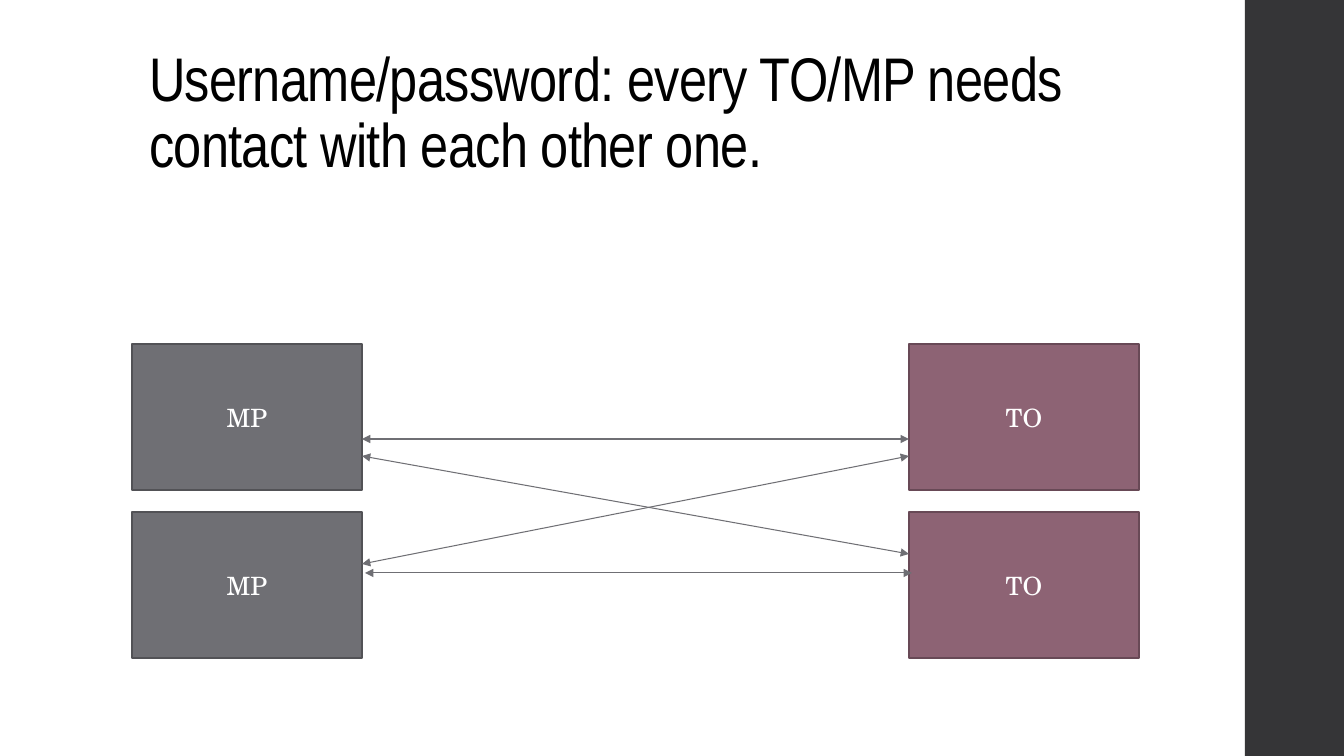
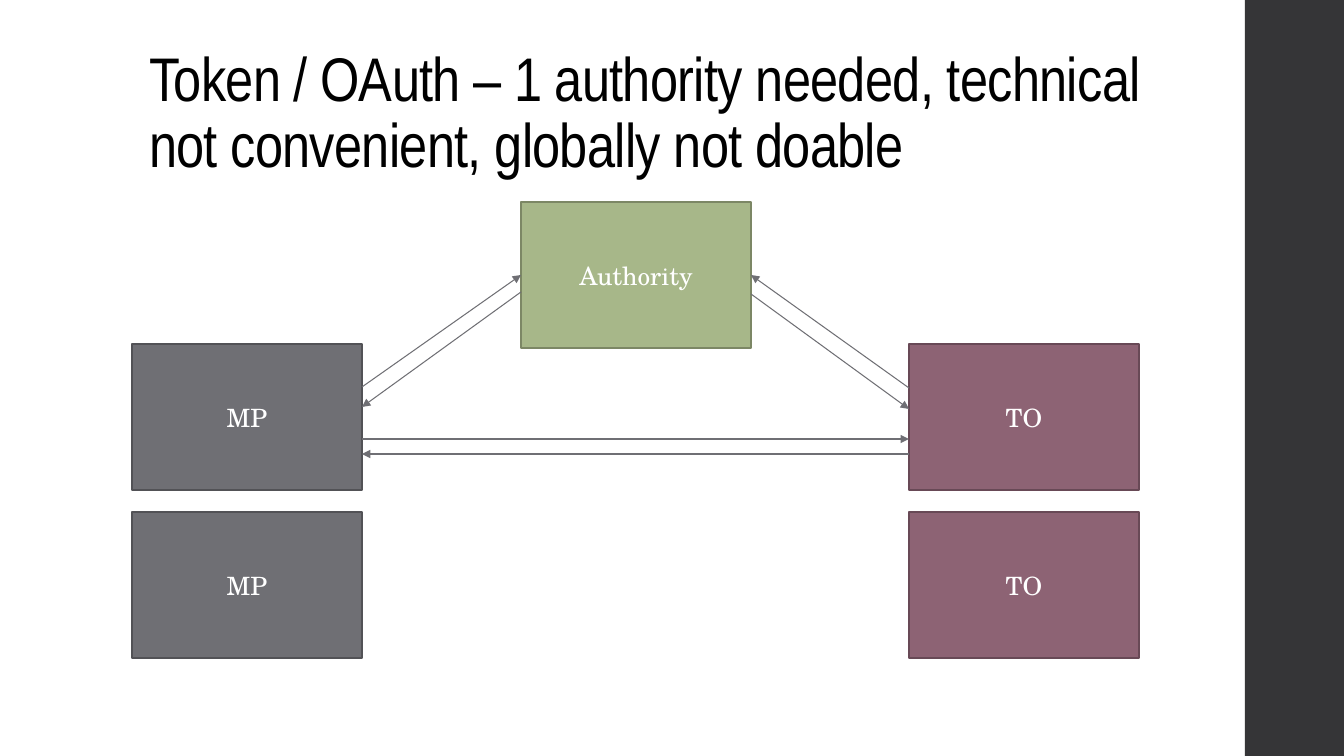
"""Build two slides comparing ways for MPs and TOs to authenticate."""
from dataclasses import dataclass

from lxml import etree
from pptx import Presentation
from pptx.dml.color import RGBColor
from pptx.enum import shapes, text
from pptx.oxml.ns import qn
from pptx.slide import Slide, SlideLayout
from pptx.util import Emu, Pt

WHITE = RGBColor(0xFF, 0xFF, 0xFF)
BLACK = RGBColor(0x00, 0x00, 0x00)
CHARCOAL = RGBColor(0x35, 0x35, 0x37)
GREY = RGBColor(0x6F, 0x6F, 0x74)
GREY_EDGE = RGBColor(0x52, 0x52, 0x56)
PLUM = RGBColor(0x8D, 0x63, 0x74)
PLUM_EDGE = RGBColor(0x68, 0x49, 0x56)
GREEN = RGBColor(0xA7, 0xB7, 0x89)
GREEN_EDGE = RGBColor(0x7C, 0x87, 0x65)

TITLE_FONT, BOX_FONT = "Arial Narrow", "TeX Gyre Schola"
SLIDE_W, SLIDE_H = 1344, 756
BAND_LEFT = 1245
BOX_W, BOX_H = 230, 146
MP_LEFT, TO_LEFT, AUTHORITY_LEFT = 132, 909, 521
ROW_TOP, ROW_PITCH, AUTHORITY_TOP = 344, 168, 202
MP_EDGE = MP_LEFT + BOX_W
AUTHORITY_EDGE = AUTHORITY_LEFT + BOX_W


@dataclass(frozen=True)
class Party:
    """A labelled box taking part in the exchange."""
    label: str
    left: int
    top: int
    fill: RGBColor
    edge: RGBColor


@dataclass(frozen=True)
class Message:
    """An arrow between two points."""
    start: tuple[int, int]
    end: tuple[int, int]
    two_way: bool = False


@dataclass(frozen=True)
class Scheme:
    """The content of one slide."""
    title: str
    parties: list[Party]
    messages: list[Message]


def px(pixels: int) -> Emu:
    """Convert pixels (100.8 to the inch) to EMU."""
    return Emu(round(pixels * 914400 / 100.8))


def set_up_layout(layout: SlideLayout) -> None:
    """Place the title of the layout."""
    title = layout.placeholders[0]
    title.left, title.top, title.width, title.height = map(px, (139, 40, 1068, 146))
    title.text_frame.vertical_anchor = text.MSO_ANCHOR.BOTTOM
    title.text_frame.auto_size = text.MSO_AUTO_SIZE.NONE


def add_band(slide: Slide) -> None:
    """Draw the side band and move it to the layout of the slide."""
    band = slide.shapes.add_shape(shapes.MSO_SHAPE.RECTANGLE, px(BAND_LEFT), 0,
                                  px(SLIDE_W - BAND_LEFT), px(SLIDE_H))
    band.shadow.inherit = False
    band.fill.solid()
    band.fill.fore_color.rgb = CHARCOAL
    band.line.fill.background()
    band.element.nvSpPr.cNvPr.set("id", "20")
    slide.slide_layout.shapes.element.append(band.element)


def add_title(slide: Slide, wording: str) -> None:
    """Fill and format the title placeholder."""
    title = slide.shapes.title
    title.text_frame.text = wording
    heading = title.text_frame.paragraphs[0]
    heading.alignment = text.PP_ALIGN.LEFT
    heading.line_spacing = 0.9
    heading.font.name, heading.font.size = TITLE_FONT, Pt(44)
    heading.font.color.rgb = BLACK
    for properties in title.element.iter(qn("a:defRPr")):
        properties.set("spc", "-50")


def add_party(slide: Slide, party: Party) -> None:
    """Draw one labelled box."""
    box = slide.shapes.add_shape(shapes.MSO_SHAPE.RECTANGLE, px(party.left),
                                 px(party.top), px(BOX_W), px(BOX_H))
    box.shadow.inherit = False
    box.fill.solid()
    box.fill.fore_color.rgb = party.fill
    box.line.color.rgb = party.edge
    box.line.width = Pt(1.1)
    box.text_frame.text = party.label
    box.text_frame.vertical_anchor = text.MSO_ANCHOR.MIDDLE
    label = box.text_frame.paragraphs[0]
    label.alignment = text.PP_ALIGN.CENTER
    label.font.name, label.font.size = BOX_FONT, Pt(18)
    label.font.color.rgb = WHITE


def add_message(slide: Slide, message: Message) -> None:
    """Draw one arrow, with a second head if it goes both ways."""
    arrow = slide.shapes.add_connector(shapes.MSO_CONNECTOR.STRAIGHT,
                                       *map(px, message.start + message.end))
    arrow.line.color.rgb = GREY
    arrow.line.width = Pt(0.75)
    line = arrow.element.spPr.find(qn("a:ln"))
    for end in ("a:headEnd", "a:tailEnd") if message.two_way else ("a:tailEnd",):
        etree.SubElement(line, qn(end), type="triangle")
    etree.SubElement(arrow.element.spPr, qn("a:effectLst"))


PAIRS = [
    party
    for top in (ROW_TOP, ROW_TOP + ROW_PITCH)
    for party in (Party("MP", MP_LEFT, top, GREY, GREY_EDGE),
                  Party("TO", TO_LEFT, top, PLUM, PLUM_EDGE))
]
AUTHORITY = Party("Authority", AUTHORITY_LEFT, AUTHORITY_TOP, GREEN, GREEN_EDGE)

SCHEMES = [
    Scheme(
        "Username/password: every TO/MP needs contact with each other one.",
        PAIRS,
        [
            Message((MP_EDGE, 439), (TO_LEFT, 439), two_way=True),
            Message((MP_EDGE + 3, 573), (TO_LEFT + 3, 573), two_way=True),
            Message((MP_EDGE, 456), (TO_LEFT, 554), two_way=True),
            Message((MP_EDGE, 564), (TO_LEFT, 456), two_way=True),
        ],
    ),
    Scheme(
        "Token / OAuth – 1 authority needed, technical not convenient, "
        "globally not doable",
        PAIRS + [AUTHORITY],
        [
            Message((MP_EDGE, 387), (AUTHORITY_LEFT, 275)),
            Message((MP_EDGE, 439), (TO_LEFT, 439)),
            Message((TO_LEFT, 388), (AUTHORITY_EDGE, 275)),
            Message((AUTHORITY_LEFT, 292), (MP_EDGE, 407)),
            Message((TO_LEFT, 454), (MP_EDGE, 454)),
            Message((AUTHORITY_EDGE, 294), (TO_LEFT, 409)),
        ],
    ),
]


def main() -> None:
    """Build and save the presentation."""
    deck = Presentation()
    deck.slide_width, deck.slide_height = px(SLIDE_W), px(SLIDE_H)
    layout = deck.slide_layouts.get_by_name("Title Only")
    set_up_layout(layout)
    for number, scheme in enumerate(SCHEMES):
        slide = deck.slides.add_slide(layout)
        if number == 0:
            add_band(slide)
        add_title(slide, scheme.title)
        for party in scheme.parties:
            add_party(slide, party)
        for message in scheme.messages:
            add_message(slide, message)
    deck.save("out.pptx")


main()
